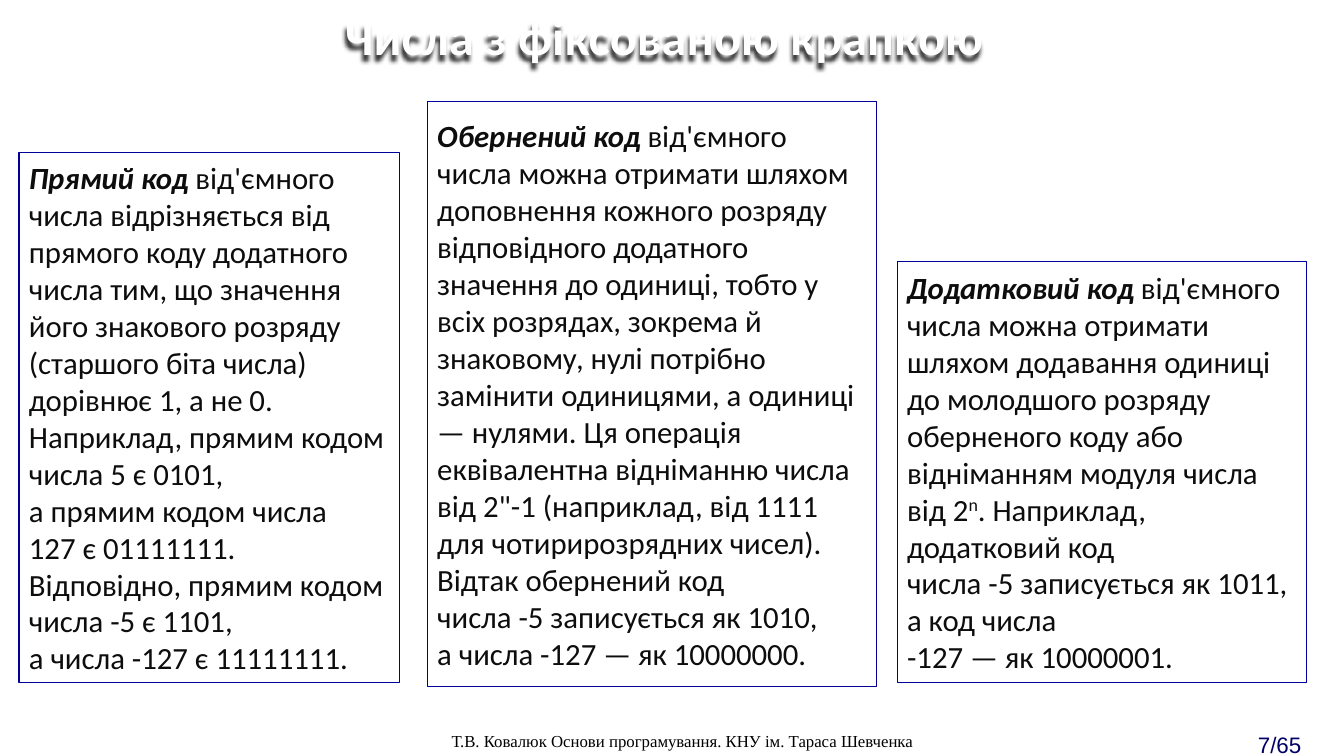
"""Build a slide on the three codes of negative fixed-point numbers."""
import pptx
import pptx.util
import pptx.dml.color
import pptx.enum.shapes
import pptx.enum.text
import pptx.oxml

Cm, Pt = pptx.util.Cm, pptx.util.Pt
RGB = pptx.dml.color.RGBColor.from_string
Anchor = pptx.enum.text.MSO_ANCHOR
Align = pptx.enum.text.PP_ALIGN

HUES = {"white": "FFFFFF", "ink": "0D0D0D", "edge": "000099",
        "page": "000066", "black": "000000"}
BODY = {"name": "Calibri", "size": Pt(22), "bold": False, "italic": False}
TERM = {**BODY, "bold": True, "italic": True}
HEAD = {"name": "Calibri", "size": Pt(36), "bold": True}
NOTE = {"name": "Times New Roman", "size": Pt(12)}
PAGE = {"name": "Arial", "size": Pt(16)}


def add_run(para, text, look, hue):
    """Add a run of text in the given look and hue."""
    run = para.add_run()
    run.text = text
    for key, value in look.items():
        setattr(run.font, key, value)
    run.font.color.rgb = RGB(HUES[hue])
    return run


deck = pptx.Presentation()
deck.slide_width, deck.slide_height = Cm(33.87), Cm(19.05)
slide = deck.slides.add_slide(deck.slide_layouts[5])

labels = [
    ("7/65", PAGE, "page", 31.45, 2.42),
    ("Т.В. Ковалюк Основи програмування. КНУ ім. Тараса Шевченка",
     NOTE, "black", 11.13, 17.07),
]
for text, look, hue, left, width in labels:
    box = slide.shapes.add_textbox(Cm(left), Cm(18.29), Cm(width), Cm(0.76))
    box.text_frame.word_wrap = True
    add_run(box.text_frame.paragraphs[0], text, look, hue)

cards = [
    ((0.48, 3.84, 9.58, 13.36), "Прямий код ", [
        "від'ємного числа відрізняється від прямого коду додатного числа "
        "тим, що значення його знакового розряду (старшого біта числа) "
        "дорівнює 1, а не 0. Наприклад, прямим кодом числа 5 є 0101,",
        "а прямим кодом числа",
        "127 є 01111111.",
        "Відповідно, прямим кодом числа -5 є 1101,",
        "а числа -127 є 11111111."]),
    ((10.77, 2.57, 11.33, 14.73), "Обернений код ", [
        "від'ємного числа можна отримати шляхом доповнення кожного розряду "
        "відповідного додатного значення до одиниці, тобто у всіх розрядах, "
        "зокрема й знаковому, нулі потрібно замінити одиницями, а одиниці — "
        "нулями. Ця операція еквівалентна відніманню числа від 2\"-1 "
        "(наприклад, від 1111 для чотирирозрядних чисел). "
        "Відтак обернений код",
        "числа -5 записується як 1010,",
        "а числа -127 — як 10000000."]),
    ((22.61, 6.58, 10.31, 10.62), "Додатковий код ", [
        "від'ємного числа можна отримати шляхом додавання одиниці до "
        "молодшого розряду оберненого коду або відніманням модуля числа "
        "від 2^n^. Наприклад, додатковий код",
        "числа -5 записується як 1011,",
        "а код числа",
        "-127 — як 10000001."]),
]
for place, term, lines in cards:
    card = slide.shapes.add_shape(
        pptx.enum.shapes.MSO_SHAPE.RECTANGLE, *map(Cm, place))
    card.shadow.inherit = False
    card.fill.solid()
    card.fill.fore_color.rgb = RGB(HUES["white"])
    card.line.color.rgb = RGB(HUES["edge"])
    card.line.width = Pt(0.75)
    frame = card.text_frame
    frame.word_wrap = True
    frame.vertical_anchor = Anchor.MIDDLE
    for row, line in enumerate(lines):
        para = frame.add_paragraph() if row else frame.paragraphs[0]
        para.alignment = Align.LEFT
        if row == 0:
            add_run(para, term, TERM, "ink")
        for index, part in enumerate(line.split("^")):
            run = add_run(para, part, BODY, "ink")
            if index % 2:
                run.font._element.set("baseline", "30000")

title = slide.shapes.title
title.left, title.top, title.width, title.height = map(
    Cm, (3.86, 0, 25.76, 1.8))
frame = title.text_frame
frame.auto_size = pptx.enum.text.MSO_AUTO_SIZE.NONE
frame.vertical_anchor = Anchor.MIDDLE
frame.paragraphs[0].alignment = Align.CENTER
add_run(frame.paragraphs[0], "Числа з фіксованою крапкою", HEAD, "white")
title._element.spPr.append(pptx.oxml.parse_xml(
    '<a:effectLst xmlns:a="http://schemas.openxmlformats.org/drawingml/2006/main">'
    '<a:outerShdw blurRad="38100" dist="50800" dir="7200000" algn="tl" '
    f'rotWithShape="0"><a:srgbClr val="{HUES["black"]}"><a:alpha val="80000"/>'
    '</a:srgbClr></a:outerShdw></a:effectLst>'))

deck.save("out.pptx")
